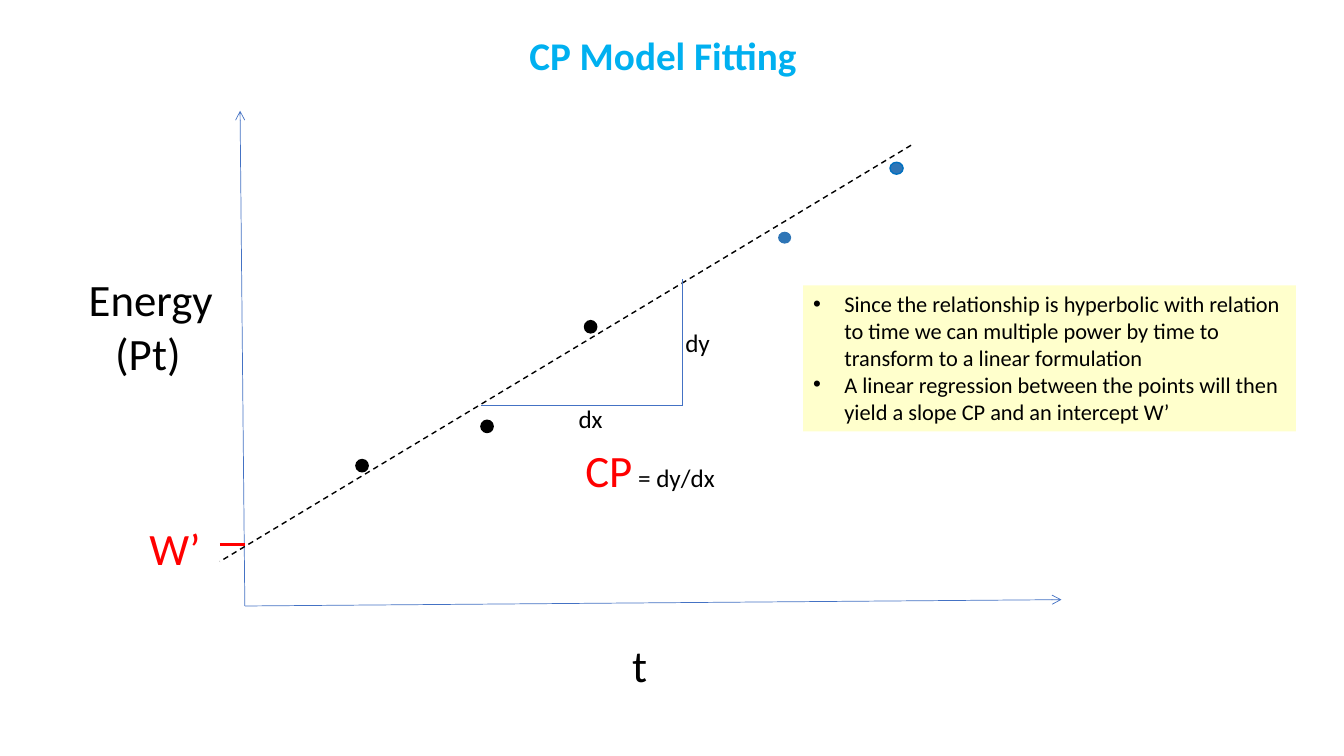
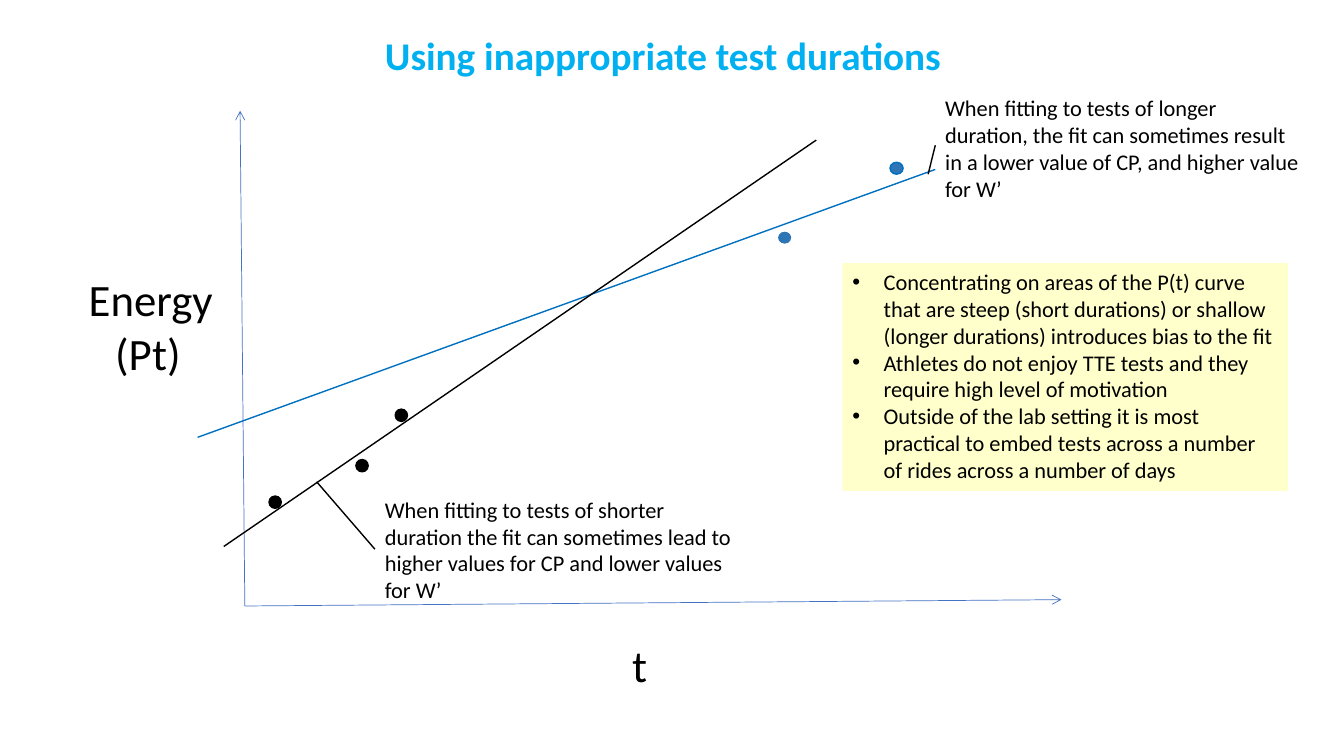
from dataclasses import dataclass
from pptx import Presentation
from pptx.dml.color import RGBColor as Rgb
from pptx.enum.dml import MSO_LINE as Dash
from pptx.enum.shapes import MSO_CONNECTOR as Link, MSO_SHAPE as Form
from pptx.enum.text import MSO_AUTO_SIZE as Auto, MSO_ANCHOR as Anchor, PP_ALIGN as Align
from pptx.oxml.ns import qn
from pptx.util import Cm, Pt
from lxml.etree import SubElement as Sub


@dataclass(frozen=True)
class Theme:
    font: str = "Calibri"
    title: str = "00B0F0"
    ink: str = "000000"
    red: str = "FF0000"
    axis: str = "4472C4"
    blue: str = "0070C0"
    dot: str = "2E75B6"
    note: str = "FFFFCC"
    head: int = 28
    big: int = 32
    mid: int = 18
    body: int = 16
    hair: float = 0.5
    thin: float = 1
    bold: float = 2.25


T = Theme()
WIDE, HIGH = 33.87, 19.05
ORIGIN = (6.17, 15.27)
AXES = [(6.05, 2.79), (26.75, 15.11)]
TITLE = (9.3, 0.66, 14.81, 1.45)
GAP = (" ", T.mid, T.ink)
NAMES = [
    ((14.35, 15.95, 3.68, 1.63), [[("t", T.big, T.ink), GAP]]),
    ((1.96, 6.73, 3.68, 3), [[("Energy", T.big, T.ink)], [("(Pt)", T.big, T.ink), GAP]]),
]
SMALL, LARGE = (0.31, 0.31), (0.33, 0.3)
LONG = [((22.43, 4.09), T.blue), ((19.61, 5.84), None)]

SLIDES = [
    dict(
        title="CP Model Fitting",
        dots=[(8.97, 11.58), (14.73, 8.08), (12.12, 10.59)],
        lines=[
            ((22.96, 3.66), (5.54, 14.15), T.ink, T.thin, Dash.DASH),
            ((12.12, 10.22), (17.2, 10.22), T.axis, T.hair, None),
            ((17.2, 10.22), (17.2, 7.04), T.axis, T.hair, None),
            ((5.54, 13.72), (6.17, 13.72), T.red, T.bold, None),
        ],
        texts=[
            ((1.96, 13, 4.9, 1.63), [[("W’", T.big, T.red)]], Align.CENTER),
            ((14.5, 11.02, 4.34, 1.63),
             [[("CP", T.big, T.red), (" = dy/dx", T.mid, T.ink)]], Align.LEFT),
            ((17.02, 8.13, 1.57, 1.02), [[("dy", T.mid, T.ink)]], Align.LEFT),
            ((14.33, 10.03, 1.57, 1.02), [[("dx", T.mid, T.ink)]], Align.LEFT),
        ],
        box=(20.24, 7.19, 12.42, 3.68),
        notes=[
            "Since the relationship is hyperbolic with relation to time we can "
            "multiple power by time to transform to a linear formulation",
            "A linear regression between the points will then yield a slope CP "
            "and an intercept W’",
        ],
    ),
    dict(
        title="Using inappropriate test durations",
        dots=[(8.97, 11.58), (6.78, 12.5), (9.96, 10.31)],
        lines=[
            ((23.57, 4.27), (4.98, 11.02), T.blue, T.thin, None),
            ((20.57, 3.53), (5.64, 13.77), T.ink, T.thin, None),
            ((23.57, 3.66), (23.39, 4.39), T.ink, T.thin, None),
            ((9.45, 13.84), (7.98, 12.14), T.ink, T.thin, None),
        ],
        texts=[
            ((23.57, 2.26, 9.45, 3),
             [[("When fitting to tests of longer duration, the fit can sometimes result "
                "in a lower value of CP, and higher value for W’", T.body, T.ink)]], Align.LEFT),
            ((9.45, 12.37, 9.45, 3),
             [[("When fitting to tests of shorter duration the fit can sometimes lead "
                "to higher values for CP and lower values for W’", T.body, T.ink)]], Align.LEFT),
        ],
        box=(21.23, 6.63, 11.23, 5.74),
        notes=[
            "Concentrating on areas of the P(t) curve that are steep (short durations) "
            "or shallow (longer durations) introduces bias to the fit",
            "Athletes do not enjoy TTE tests and they require high level of motivation",
            "Outside of the lab setting it is most practical to embed tests across "
            "a number of rides across a number of days",
        ],
    ),
]


def cms(vals):
    return [Cm(v) for v in vals]


def style(font, size, color, bold=False):
    font.name, font.size, font.bold = T.font, Pt(size), bold
    font.color.rgb = Rgb.from_string(color)


def write(shape, paras, align=Align.LEFT, bold=False):
    frame = shape.text_frame
    frame.word_wrap, frame.auto_size = True, Auto.SHAPE_TO_FIT_TEXT
    frame.vertical_anchor = Anchor.TOP
    for i, runs in enumerate(paras):
        para = frame.add_paragraph() if i else frame.paragraphs[0]
        para.alignment = align
        style(para.font, *runs[0][1:], bold)
        for text, size, color in runs:
            run = para.add_run()
            run.text = text
            if (size, color) != runs[0][1:]:
                style(run.font, size, color, bold)
    return frame


def label(slide, spot, paras, align=Align.LEFT, bold=False):
    write(slide.shapes.add_textbox(*cms(spot)), paras, align, bold)


def solid(slide, form, spot, fill, edge=None):
    shape = slide.shapes.add_shape(form, *cms(spot))
    shape.shadow.inherit = False
    shape.fill.solid()
    shape.fill.fore_color.rgb = Rgb.from_string(fill)
    if edge:
        shape.line.color.rgb = Rgb.from_string(edge)
        shape.line.width = Pt(T.thin)
    else:
        shape.line.fill.background()
    return shape


def stroke(slide, start, end, color, width, dash=None, arrow=False):
    link = slide.shapes.add_connector(Link.STRAIGHT, *cms(start + end))
    link.line.color.rgb = Rgb.from_string(color)
    link.line.width = Pt(width)
    if dash:
        link.line.dash_style = dash
    props = link._element.spPr
    if arrow:
        Sub(props.find(qn("a:ln")), qn("a:headEnd"), type="arrow")
    Sub(props, qn("a:effectLst"))


def panel(slide, spot, notes):
    shape = solid(slide, Form.RECTANGLE, spot, T.note)
    frame = write(shape, [[(note, T.body, T.ink)] for note in notes])
    for para in frame.paragraphs:
        props = para._p.get_or_add_pPr()
        props.set("marL", str(Cm(0.79)))
        props.set("indent", str(-Cm(0.79)))
        bullet = props.makeelement(qn("a:buChar"), {"char": "•"})
        face = props.makeelement(qn("a:buFont"), {"typeface": "Arial"})
        props.insert(0, face)
        props.insert(1, bullet)


def build(deck, page):
    slide = deck.slides.add_slide(deck.slide_layouts[6])
    for tip in AXES:
        stroke(slide, tip, ORIGIN, T.axis, T.hair, arrow=True)
    for spot, paras in NAMES:
        label(slide, spot, paras, Align.CENTER)
    label(slide, TITLE, [[(page["title"], T.head, T.title)]], Align.CENTER, True)
    for spot in page["dots"]:
        solid(slide, Form.OVAL, spot + SMALL, T.ink, T.ink)
    for line in page["lines"]:
        stroke(slide, *line)
    panel(slide, page["box"], page["notes"])
    for text in page["texts"]:
        label(slide, *text)
    for spot, edge in LONG:
        solid(slide, Form.OVAL, spot + LARGE, T.dot, edge)


deck = Presentation()
deck.slide_width, deck.slide_height = cms((WIDE, HIGH))
for page in SLIDES:
    build(deck, page)
deck.save("out.pptx")
